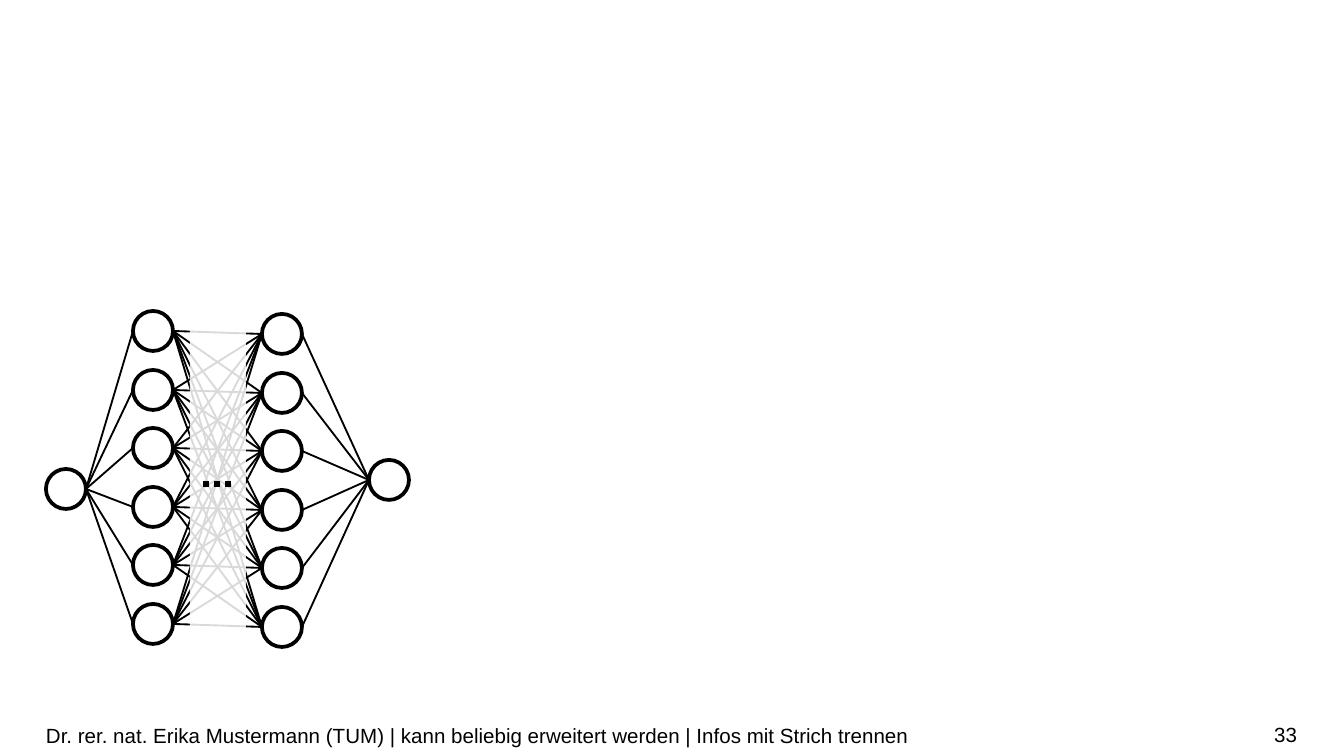
from itertools import product
from lxml import etree
from pptx import Presentation
from pptx import util as u
from pptx.dml.color import RGBColor
from pptx.enum import dml, shapes, text
from pptx.oxml.ns import qn

PX = 914400 / 134.4
SIZE = 40
INK = "000000"


def px(*vals):
    return [u.Emu(round(v * PX)) for v in vals]


def color(fmt, tone):
    fmt.solid()
    fmt.fore_color.rgb = RGBColor.from_string(tone)


deck = Presentation()
deck.slide_width, deck.slide_height = px(1344, 756)
slide = deck.slides.add_slide(deck.slide_layouts[6])


def write(words, box, align=text.PP_ALIGN.LEFT, size=11, font="Arial", tone=INK):
    frame = slide.shapes.add_textbox(*px(*box)).text_frame
    frame.word_wrap = True
    frame.vertical_anchor = text.MSO_ANCHOR.MIDDLE
    frame.margin_left = frame.margin_right = 0
    para = frame.paragraphs[0]
    para.alignment = align
    run = para.add_run()
    run.text = words
    run.font.size = u.Pt(size)
    run.font.name = font
    color(run.font.fill, tone)


write("33", (996, 714, 301, 40), align=text.PP_ALIGN.RIGHT)
write("Dr. rer. nat. Erika Mustermann (TUM) | kann beliebig erweitert werden | "
      "Infos mit Strich trennen", (46, 714, 1150, 43))

net = slide.shapes.add_group_shape().shapes
layers = [
    (46, [489]),
    (133, [331 + round(58.6 * i) for i in range(6)]),
    (262, [334 + round(58.6 * i) for i in range(6)]),
    (369, [480]),
]

for left, rows in layers:
    for mid in rows:
        node = net.add_shape(shapes.MSO_SHAPE.OVAL,
                             *px(left, mid - SIZE // 2, SIZE, SIZE))
        node.shadow.inherit = False
        node.fill.background()
        color(node.line.fill, INK)
        node.line.width = u.Pt(2)

links = []
for (left, rows), (right, ends) in zip(layers, layers[1:]):
    links += [(left + SIZE, a, right, b, 1) for a, b in product(rows, ends)]
dots = (203, 484, 232, 484, 3)

for *ends, width in links + [dots]:
    if width == 3:
        veil = net.add_shape(shapes.MSO_SHAPE.RECTANGLE, *px(190, 325, 56, 310))
        veil.shadow.inherit = False
        color(veil.fill, "FFFFFF")
        veil.line.fill.background()
        tint = veil.fill._xPr.find(qn("a:solidFill"))[0]
        etree.SubElement(tint, qn("a:alpha")).set("val", "85000")
    link = net.add_connector(shapes.MSO_CONNECTOR.STRAIGHT, *px(*ends))
    color(link.line.fill, INK)
    link.line.width = u.Pt(width)
    if width == 3:
        link.line.dash_style = dml.MSO_LINE.ROUND_DOT
        link.line._ln.find(qn("a:prstDash")).set("val", "sysDot")
    etree.SubElement(link._element.spPr, qn("a:effectLst"))

deck.save("out.pptx")
